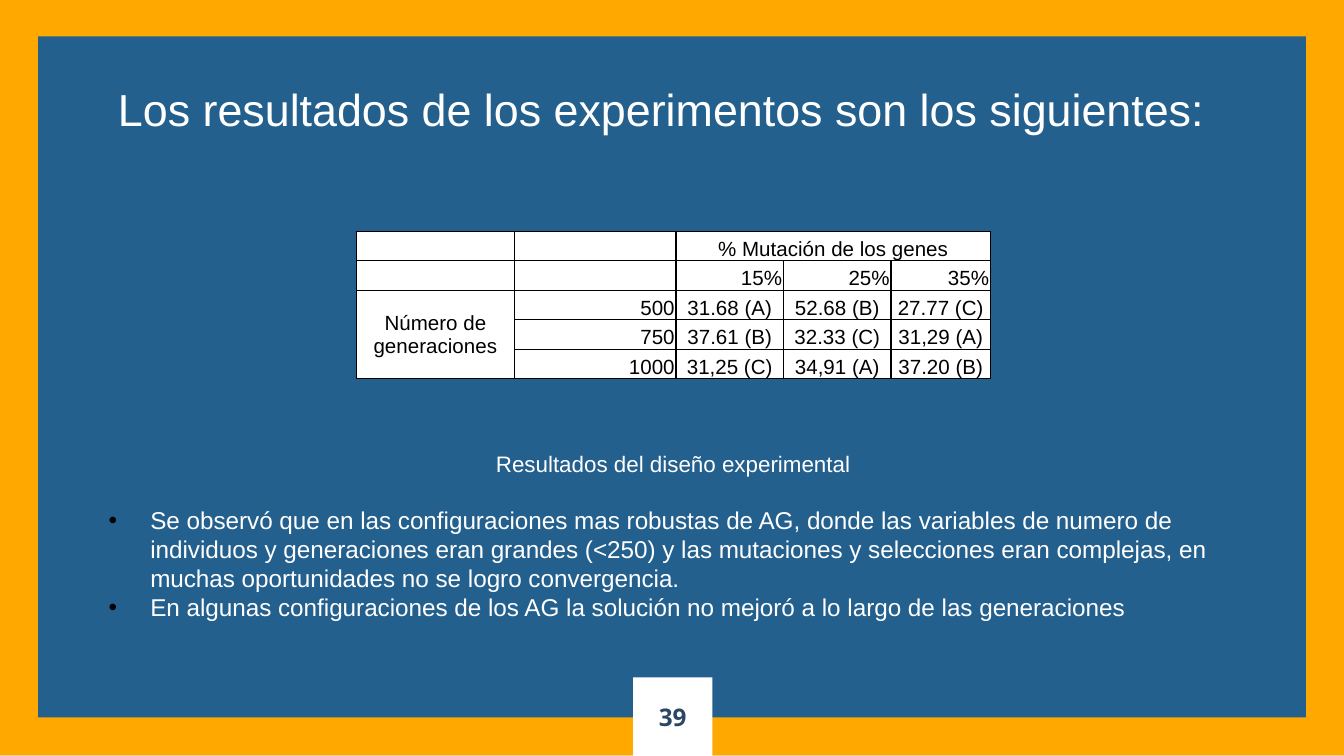
from pptx import Presentation
from pptx.dml.color import RGBColor
from pptx.enum.shapes import MSO_SHAPE as SHAPE
from pptx.enum.text import MSO_ANCHOR as ANCHOR, MSO_AUTO_SIZE as AUTO, PP_ALIGN as ALIGN
from pptx.oxml import parse_xml
from pptx.oxml.ns import nsdecls
from pptx.util import Inches, Pt

COLORS = {"blue": "00467C", "amber": "FFA800", "white": "FFFFFF", "black": "000000", "navy": "294667"}
COLS = [1.18, 1.2, 0.8, 0.8, 0.74]
ROW_HEIGHT = 0.22
RESULTS = [
    ["", "", "% Mutación de los genes", "", ""],
    ["", "", "15%", "25%", "35%"],
    ["Número de generaciones", "500", "31.68 (A)", "52.68 (B)", "27.77 (C)"],
    ["", "750", "37.61 (B)", "32.33 (C)", "31,29 (A)"],
    ["", "1000", "31,25 (C)", "34,91 (A)", "37.20 (B)"],
]
FINDINGS = [
    "Se observó que en las configuraciones mas robustas de AG, donde las variables de numero de "
    "individuos y generaciones eran grandes (<250) y las mutaciones y selecciones eran complejas, "
    "en muchas oportunidades no se logro convergencia.",
    "En algunas configuraciones de los AG la solución no mejoró a lo largo de las generaciones",
]


def rgb(name):
    return RGBColor.from_string(COLORS[name])


class SlideBuilder:
    """Holds the text style and the current slide, and draws its elements."""

    def __init__(self, slide, font="Arial"):
        self.slide = slide
        self.font = font

    def format(self, p, size, color, align=ALIGN.LEFT, bold=False, font=None):
        p.alignment = align
        for r in p.runs:
            r.font.name = font or self.font
            r.font.size = Pt(size)
            r.font.bold = bold
            r.font.color.rgb = rgb(color)

    def block(self, kind, box, color, adj=None, opacity=None):
        s = self.slide.shapes.add_shape(kind, *map(Inches, box))
        s.shadow.inherit = False
        s.line.fill.background()
        s.fill.solid()
        s.fill.fore_color.rgb = rgb(color)
        if adj is not None:
            s.adjustments[0] = adj
        if opacity is not None:
            clr = s.fill._xPr.solidFill[0]
            clr.append(parse_xml(f'<a:alpha {nsdecls("a")} val="{opacity * 1000}"/>'))

    def text_frame(self, box):
        tf = self.slide.shapes.add_textbox(*map(Inches, box)).text_frame
        tf.word_wrap = True
        return tf

    def label(self, text, box, size, color="white", anchor=ANCHOR.BOTTOM, **style):
        tf = self.text_frame(box)
        tf.vertical_anchor = anchor
        tf.margin_left = tf.margin_right = tf.margin_top = tf.margin_bottom = Inches(0.1)
        tf.text = text
        self.format(tf.paragraphs[0], size, color, **style)

    def bullets(self, items, box, size, indent=0.31):
        tf = self.text_frame(box)
        tf.auto_size = AUTO.SHAPE_TO_FIT_TEXT
        tf.text = "\n".join(items)
        for p in tf.paragraphs:
            pPr = p._p.get_or_add_pPr()
            pPr.set("marL", str(Inches(indent)))
            pPr.set("indent", str(-Inches(indent)))
            pPr.append(parse_xml(f'<a:buClr {nsdecls("a")}><a:srgbClr val="{COLORS["black"]}"/></a:buClr>'))
            pPr.append(parse_xml(f'<a:buFont {nsdecls("a")} typeface="{self.font}"/>'))
            pPr.append(parse_xml(f'<a:buChar {nsdecls("a")} char="•"/>'))
            self.format(p, size, "white")

    def cell(self, cell, text, size, align, anchor):
        cell.margin_left = cell.margin_right = cell.margin_top = Inches(0.01)
        cell.margin_bottom = 0
        cell.vertical_anchor = anchor
        tcPr = cell._tc.get_or_add_tcPr()
        for side in "LRTB":
            tcPr.append(parse_xml(
                f'<a:ln{side} {nsdecls("a")} w="{Pt(0.75)}"><a:solidFill>'
                f'<a:srgbClr val="{COLORS["black"]}"/></a:solidFill></a:ln{side}>'))
        cell.fill.solid()
        cell.fill.fore_color.rgb = rgb("white")
        p = cell.text_frame.paragraphs[0]
        if text:
            p.text = text
            self.format(p, size, "black", align)
        else:
            p._p.get_or_add_endParaRPr().set("sz", str(size * 100))

    def table(self, rows, left, top, size):
        box = (left, top, sum(COLS), ROW_HEIGHT * len(rows))
        table = self.slide.shapes.add_table(len(rows), len(COLS), *map(Inches, box)).table
        table.first_row = table.horz_banding = False
        for col, width in zip(table.columns, COLS):
            col.width = Inches(width)
        for i, row in enumerate(rows):
            table.rows[i].height = Inches(ROW_HEIGHT)
            for j, text in enumerate(row):
                is_header = i == 1 or (j == 1 and i > 1)
                align = ALIGN.RIGHT if is_header else ALIGN.CENTER
                anchor = ANCHOR.MIDDLE if j == 0 else ANCHOR.BOTTOM
                self.cell(table.cell(i, j), text, size, align, anchor)
        table.cell(0, 2).merge(table.cell(0, 4))
        table.cell(2, 0).merge(table.cell(4, 0))


def main():
    prs = Presentation()
    prs.slide_width = Inches(10)
    prs.slide_height = prs.slide_width * 9 // 16
    page = SlideBuilder(prs.slides.add_slide(prs.slide_layouts[6]))
    full, badge = (0, -0.01, 10, 5.63), (4.71, 5.04, 0.59, 0.59)
    page.block(SHAPE.RECTANGLE, full, "blue", opacity=86)
    page.block(SHAPE.FRAME, full, "amber", adj=0.05)
    page.block(SHAPE.RECTANGLE, badge, "white")
    page.label("39", badge, 13, "navy", ANCHOR.MIDDLE, align=ALIGN.CENTER, bold=True, font="Open Sans")
    page.label("Los resultados de los experimentos son los siguientes:", (0.78, 0.37, 8.63, 0.74), 24)
    page.label("Resultados del diseño experimental", (3.55, 3.24, 2.92, 0.41), 12, align=ALIGN.CENTER)
    page.bullets(FINDINGS, (0.71, 3.71, 8.52, 0.98), 13)
    page.table(RESULTS, 2.65, 1.72, 11)
    prs.save("out.pptx")


if __name__ == "__main__":
    main()
